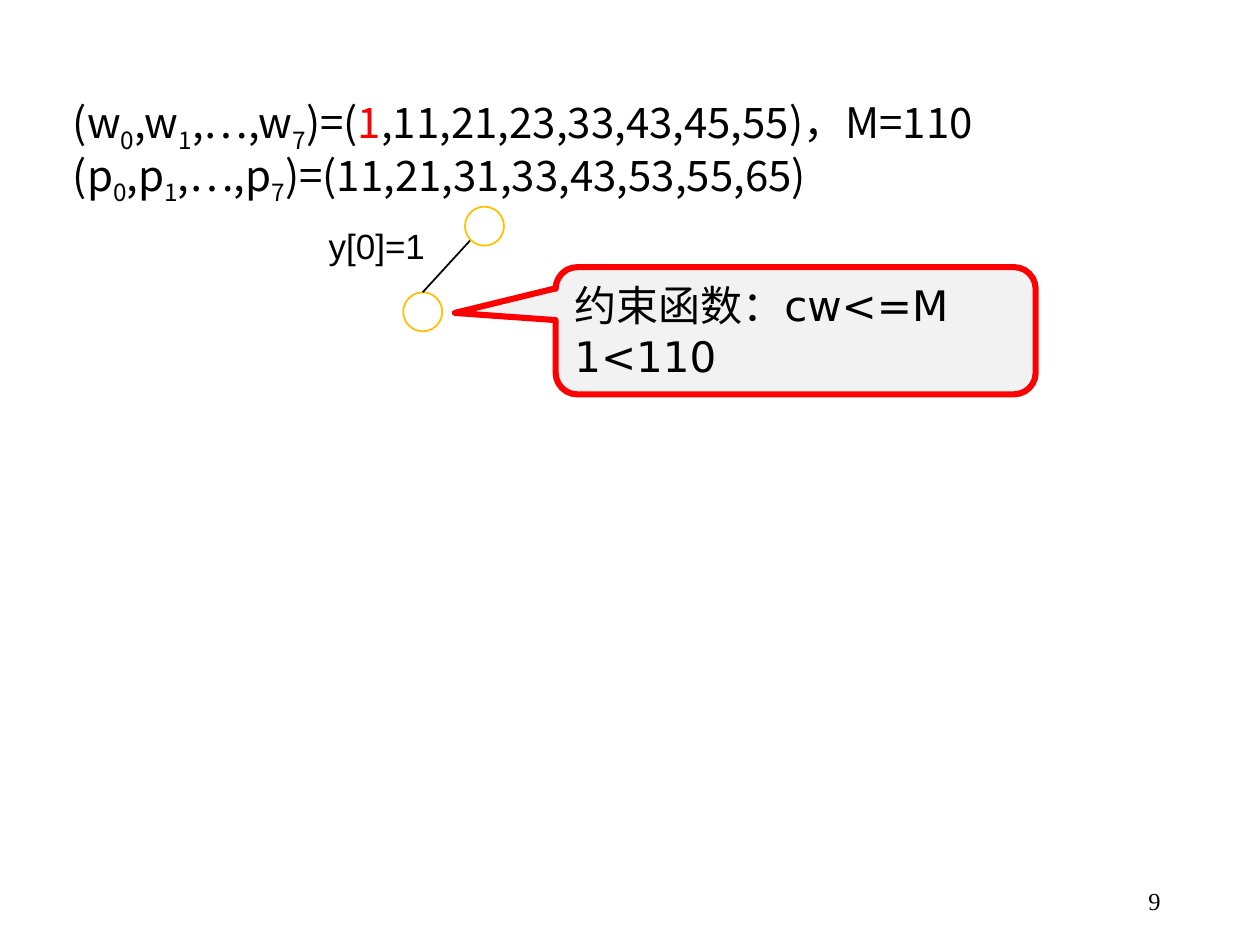
from lxml import etree
from pptx import Presentation
from pptx.dml.color import RGBColor
from pptx.enum import shapes, text
from pptx.oxml.ns import qn
from pptx.util import Inches, Pt

BLACK = RGBColor(0, 0, 0)
WHITE = RGBColor(255, 255, 255)
RED = RGBColor(255, 0, 0)
GOLD = RGBColor(0xFF, 0xC0, 0)
GREY = RGBColor(0xF2, 0xF2, 0xF2)
CJK = "Noto Sans CJK SC"
NODE = 0.31
TIGHT = {"line_spacing": 0.8, "space_before": Pt(4)}


def write(frame, lines, name, size, **form):
    """Each line is a list of (words, style); style is "", "sub" or "red"."""
    frame.word_wrap = True
    for i, line in enumerate(lines):
        para = frame.paragraphs[0] if i == 0 else frame.add_paragraph()
        for key, value in ({"alignment": text.PP_ALIGN.LEFT} | form).items():
            setattr(para, key, value)
        for words, style in line:
            run = para.add_run()
            run.text = words
            run.font.name, run.font.size = name, Pt(size)
            run.font.color.rgb = RED if style == "red" else BLACK
            props = run._r.get_or_add_rPr()
            etree.SubElement(props, qn("a:ea")).set("typeface", CJK)
            if style == "sub":
                props.set("baseline", "-25000")


def label(slide, box, lines, name, size, anchor=text.MSO_ANCHOR.TOP, **form):
    frame = slide.shapes.add_textbox(*map(Inches, box)).text_frame
    frame.vertical_anchor = anchor
    write(frame, lines, name, size, **form)


def paint(shape, fill, line, width):
    shape.shadow.inherit = False
    shape.fill.solid()
    shape.fill.fore_color.rgb = fill
    shape.line.color.rgb = line
    shape.line.width = Pt(width)


def vector(name):
    """Runs for the head of a vector with items 0 to 7."""
    return [("(" + name, ""), ("0", "sub"), ("," + name, ""), ("1", "sub"),
            (",…," + name, ""), ("7", "sub"), (")=(", "")]


def data(slide, box):
    weights = vector("w") + [("1", "red"), (",11,21,23,33,43,45,55)，M=110", "")]
    profits = vector("p") + [("11,21,31,33,43,53,55,65)", "")]
    label(slide, box, [weights, profits], CJK, 24, **TIGHT)


def node(slide, left, top):
    dot = slide.shapes.add_shape(shapes.MSO_SHAPE.OVAL, *map(Inches, (left, top, NODE, NODE)))
    paint(dot, WHITE, GOLD, 1)
    return dot


def tree(slide, left, top):
    node(slide, left + 1.18, top)
    child = node(slide, left + 0.69, top + 0.68)
    ends = (left + 1.22, top + 0.27, left + 0.85, top + 0.68)
    edge = slide.shapes.add_connector(shapes.MSO_CONNECTOR.STRAIGHT, *map(Inches, ends))
    edge.end_connect(child, 0)
    edge.line.color.rgb = BLACK
    edge.line.width = Pt(1)
    etree.SubElement(edge._element.spPr, qn("a:effectLst"))
    label(slide, (left, top + 0.16, 1.06, 0.4), [[("y[0]=1", "")]], "Arial", 20, **TIGHT)


def callout(slide, box):
    shape = slide.shapes.add_shape(shapes.MSO_SHAPE.ROUNDED_RECTANGULAR_CALLOUT, *map(Inches, box))
    for i, value in enumerate((-0.71, -0.14, 0.17)):
        shape.adjustments[i] = value
    paint(shape, GREY, RED, 3.5)
    shape.text_frame.vertical_anchor = text.MSO_ANCHOR.TOP
    write(shape.text_frame, [[("约束函数：cw<=M", "")], [("1<110", "")]], "DejaVu Sans", 24)


def main():
    deck = Presentation()
    deck.slide_width, deck.slide_height = Inches(10), Inches(7.5)
    slide = deck.slides.add_slide(deck.slide_layouts[6])
    data(slide, (0.48, 0.76, 8.17, 0.8))
    tree(slide, 2.51, 1.64)
    callout(slide, (4.41, 2.12, 3.81, 1.01))
    label(slide, (7.06, 6.95, 2.25, 0.4), [[("9", "")]], "Times New Roman", 14,
          text.MSO_ANCHOR.MIDDLE, alignment=text.PP_ALIGN.RIGHT)
    deck.save("out.pptx")


if __name__ == "__main__":
    main()
